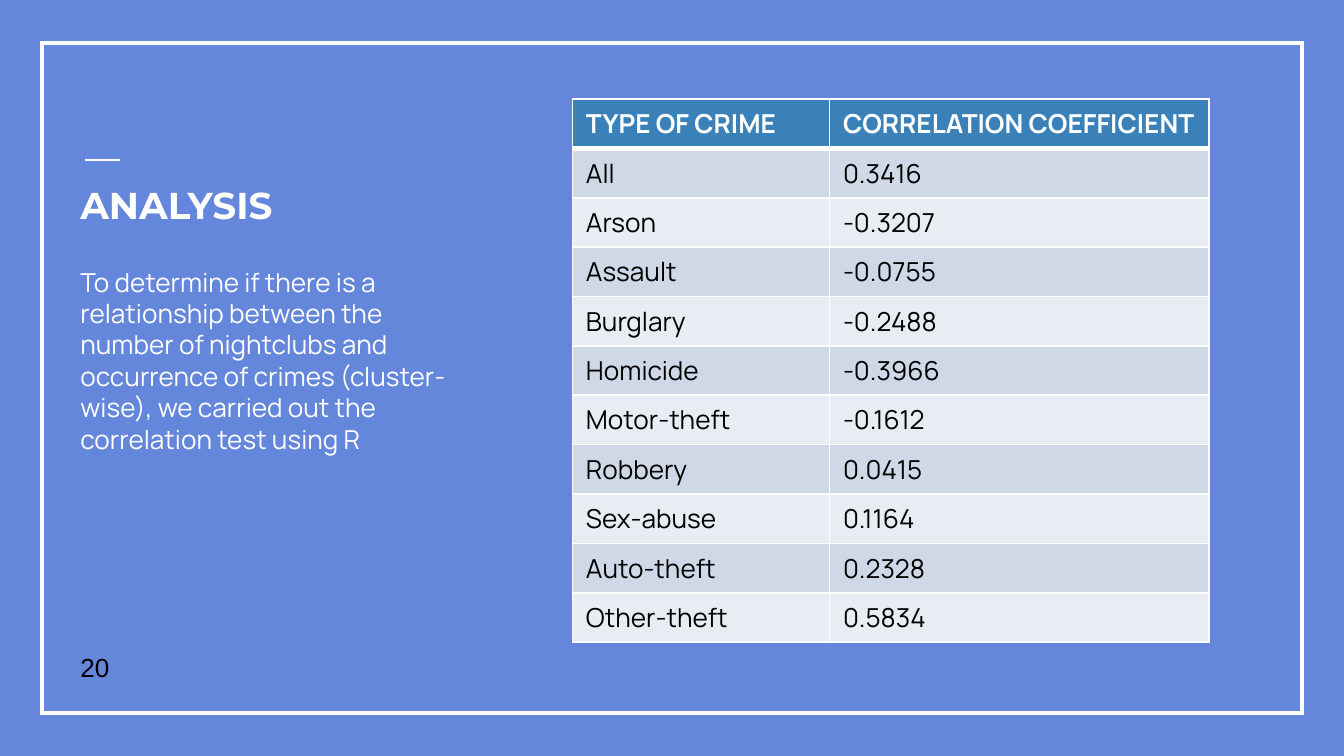
from dataclasses import dataclass
from typing import NamedTuple

from lxml.etree import SubElement
from pptx import Presentation
from pptx.dml.color import RGBColor
from pptx.enum.shapes import MSO_CONNECTOR, MSO_SHAPE
from pptx.enum.text import MSO_ANCHOR
from pptx.oxml import parse_xml
from pptx.oxml.ns import nsdecls, qn
from pptx.util import Inches, Pt

SLIDE_WIDTH = Inches(10)
SLIDE_HEIGHT = SLIDE_WIDTH * 9 // 16


@dataclass(frozen=True)
class Theme:
    background: str = "6486DB"
    light: str = "FFFFFF"
    dark: str = "000000"
    header: str = "3A81BA"
    bands: tuple[str, str] = ("CED8E7", "E8EDF3")
    body_font: str = "Manrope"
    title_font: str = "Montserrat"
    number_font: str = "Arial"
    title_size: int = 20
    body_size: int = 14


class Box(NamedTuple):
    """Left, top, width and height in percent of the slide."""
    left: float
    top: float
    width: float
    height: float

    def lengths(self) -> tuple[int, int, int, int]:
        return (across(self.left), down(self.top),
                across(self.width), down(self.height))


class Crime(NamedTuple):
    kind: str
    correlation: str


THEME = Theme()
FRAME = Box(3.1, 5.64, 93.8, 88.72)
ACCENT = Box(6.3, 21.16, 2.6, 0)
TITLE = Box(5, 22.3, 23.6, 15.82)
BODY = Box(5, 33.42, 30, 73.42)
NUMBER = Box(5, 81.42, 6, 10.67)
TABLE = Box(42.6, 13.1, 47.35, 71.85)
COLUMN_SHARES = (0.404, 0.596)

HEADINGS = Crime("TYPE OF CRIME", "CORRELATION COEFFICIENT")
CRIMES = [
    Crime("All", "0.3416"),
    Crime("Arson", "-0.3207"),
    Crime("Assault", "-0.0755"),
    Crime("Burglary", "-0.2488"),
    Crime("Homicide", "-0.3966"),
    Crime("Motor-theft", "-0.1612"),
    Crime("Robbery", "0.0415"),
    Crime("Sex-abuse", "0.1164"),
    Crime("Auto-theft", "0.2328"),
    Crime("Other-theft", "0.5834"),
]
EXPLANATION = (
    "To determine if there is a relationship between the number of nightclubs "
    "and occurrence of crimes (cluster-wise), we carried out the correlation "
    "test using R"
)


def across(percent: float) -> int:
    return round(SLIDE_WIDTH * percent / 100)


def down(percent: float) -> int:
    return round(SLIDE_HEIGHT * percent / 100)


def rgb(code: str) -> RGBColor:
    return RGBColor.from_string(code)


def write(frame, text: str, *, font: str = THEME.body_font,
          size: int = THEME.body_size, color: str = THEME.light,
          bold: bool = False) -> None:
    run = frame.paragraphs[0].add_run()
    run.text = text
    run.font.name = font
    run.font.size = Pt(size)
    run.font.bold = bold
    run.font.color.rgb = rgb(color)


def add_text(slide, box: Box, text: str, *,
             anchor: MSO_ANCHOR = MSO_ANCHOR.TOP, **style) -> None:
    frame = slide.shapes.add_textbox(*box.lengths()).text_frame
    frame.word_wrap = True
    frame.vertical_anchor = anchor
    frame.margin_left = frame.margin_right = Inches(0.1)
    frame.margin_top = frame.margin_bottom = Inches(0.1)
    write(frame, text, **style)


def add_frame(slide, box: Box) -> None:
    border = slide.shapes.add_shape(MSO_SHAPE.RECTANGLE, *box.lengths())
    border.shadow.inherit = False
    border.fill.background()
    border.line.color.rgb = rgb(THEME.light)
    border.line.width = Pt(2.25)
    SubElement(border.element.spPr.find(qn("a:ln")), qn("a:miter"), lim="800000")


def add_accent(slide, box: Box) -> None:
    left, top, width, height = box.lengths()
    accent = slide.shapes.add_connector(
        MSO_CONNECTOR.STRAIGHT, left, top, left + width, top + height)
    accent.line.color.rgb = rgb(THEME.light)
    accent.line.width = Pt(0.75)
    SubElement(accent.element.spPr, qn("a:effectLst"))


def set_borders(cell, **widths: float) -> None:
    """Draw the sides L, R, T and B, 1 point wide unless stated."""
    properties = cell._tc.get_or_add_tcPr()
    for index, side in enumerate("LRTB"):
        width = Pt(widths.get(side, 1))
        properties.insert(index, parse_xml(
            f'<a:ln{side} {nsdecls("a")} w="{width}"><a:solidFill>'
            f'<a:srgbClr val="{THEME.light}"/></a:solidFill></a:ln{side}>'))


def add_crime_table(slide, box: Box) -> None:
    rows = [HEADINGS, *CRIMES]
    table = slide.shapes.add_table(
        len(rows), len(COLUMN_SHARES), *box.lengths()).table
    for column, share in zip(table.columns, COLUMN_SHARES):
        column.width = across(box.width * share)
    for index, crime in enumerate(rows):
        is_header = index == 0
        fill = THEME.header if is_header else THEME.bands[(index - 1) % 2]
        color = THEME.light if is_header else THEME.dark
        thick = {0: {"B": 3}, 1: {"T": 3}}.get(index, {})
        table.rows[index].height = down(box.height / len(rows))
        for cell, text in zip(table.rows[index].cells, crime):
            cell.fill.solid()
            cell.fill.fore_color.rgb = rgb(fill)
            set_borders(cell, **thick)
            write(cell.text_frame, text, color=color, bold=is_header)


def main() -> None:
    deck = Presentation()
    deck.slide_width, deck.slide_height = SLIDE_WIDTH, SLIDE_HEIGHT
    slide = deck.slides.add_slide(deck.slide_layouts[6])
    slide.background.fill.solid()
    slide.background.fill.fore_color.rgb = rgb(THEME.background)

    add_frame(slide, FRAME)
    add_accent(slide, ACCENT)
    add_text(slide, BODY, EXPLANATION)
    add_text(slide, TITLE, "ANALYSIS", font=THEME.title_font,
             size=THEME.title_size, bold=True)
    add_text(slide, NUMBER, "20", font=THEME.number_font,
             color=THEME.dark, anchor=MSO_ANCHOR.BOTTOM)
    add_crime_table(slide, TABLE)
    deck.save("out.pptx")


if __name__ == "__main__":
    main()
